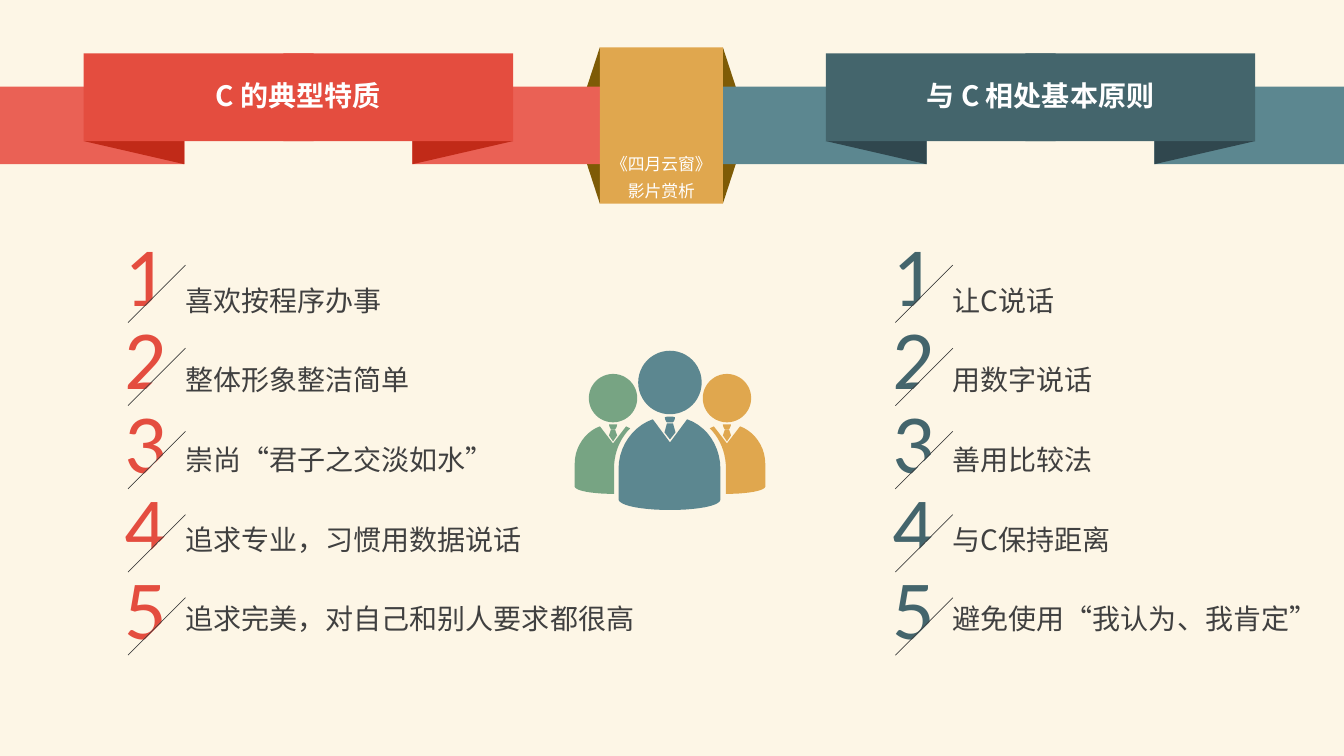
import pptx
import pptx.util
import pptx.dml.color
import pptx.enum.shapes
import pptx.enum.text
import pptx.oxml.ns
from lxml import etree

Inches = pptx.util.Inches
Pt = pptx.util.Pt
qn = pptx.oxml.ns.qn
SHAPE = pptx.enum.shapes.MSO_SHAPE
ALIGN = pptx.enum.text.PP_ALIGN

COLORS = {
    "cream": "FDF6E6", "ink": "404040", "white": "FFFFFF",
    "red": "E44D3F", "red_band": "EA6155", "red_fold": "C12A18",
    "teal": "44656C", "teal_band": "5C8790", "teal_fold": "30474E",
    "gold": "E0A74E", "gold_fold": "7E5B06", "green": "77A483",
}
CJK = "Noto Sans CJK SC"

TRAITS = ["喜欢按程序办事", "整体形象整洁简单", "崇尚“君子之交淡如水”",
          "追求专业，习惯用数据说话", "追求完美，对自己和别人要求都很高"]
PRINCIPLES = ["让C说话", "用数字说话", "善用比较法", "与C保持距离",
              "避免使用“我认为、我肯定”"]

FRONT_BODY = [(0, .91), (.17, .68), ((.37, .75), (.5, .95), (.5, 1.17)), (.5, 1.48),
              ((.49, 1.54), (.27, 1.58), (0, 1.58)),
              ((-.27, 1.58), (-.49, 1.54), (-.51, 1.48)), (-.51, 1.17),
              ((-.51, .95), (-.37, .75), (-.17, .68))]
FRONT_KNOT = [(.05, .66), ((.03, .65), (-.03, .65), (-.05, .66)),
              ((-.05, .66), (-.05, .69), (-.03, .71)), (.03, .71),
              ((.03, .71), (.05, .69), (.05, .66))]
FRONT_TIE = [(-.03, .72), (.03, .72), (.055, .81), (0, .88), (-.055, .81)]
SIDE_BODY = [(0, .69), (-.13, .52), ((-.27, .57), (-.38, .72), (-.38, .89)), (-.38, 1.12),
             ((-.37, 1.16), (-.2, 1.19), (0, 1.19)), (.01, 1.19), (.01, .94),
             ((.01, .78), (.07, .64), (.17, .54)), (.13, .52)]
SIDE_KNOT = [(.04, .5), (-.04, .5), ((-.04, .5), (-.04, .52), (-.02, .55)), (.02, .55),
             ((.02, .55), (.04, .53), (.04, .5))]
SIDE_TIE = [(0, .67), (.04, .61), (.02, .55), (-.02, .55), (-.04, .61)]


def rgb(name):
    return pptx.dml.color.RGBColor.from_string(COLORS[name])


def paint(sp, color):
    sp.shadow.inherit = False
    sp.fill.solid()
    sp.fill.fore_color.rgb = rgb(color)
    sp.line.fill.background()
    return sp


def add_block(s, kind, x, y, w, h, color, flip=""):
    sp = s.shapes.add_shape(kind, Inches(x), Inches(y), Inches(w), Inches(h))
    xfrm = sp._element.spPr.find(qn("a:xfrm"))
    for axis in flip:
        xfrm.set("flip" + axis, "1")
    return paint(sp, color)


def add_text(s, text, x, y, w, h, size=20, color="ink", font=CJK, bold=False,
             align=ALIGN.LEFT, spacing=None, wrap=False):
    tf = s.shapes.add_textbox(Inches(x), Inches(y), Inches(w), Inches(h)).text_frame
    tf.word_wrap = wrap
    tf.auto_size = pptx.enum.text.MSO_AUTO_SIZE.SHAPE_TO_FIT_TEXT
    for i, line in enumerate(text.split("\n")):
        p = tf.add_paragraph() if i else tf.paragraphs[0]
        p.alignment = align
        p.line_spacing = spacing
        r = p.add_run()
        r.text = line
        r.font.size = Pt(size)
        r.font.bold = bold
        r.font.color.rgb = rgb(color)
        r.font.name = font
        etree.SubElement(r._r.get_or_add_rPr(), qn("a:ea")).set("typeface", font)


def add_outline(s, cx, top, steps, color, side=1):
    points = []
    for step in steps:
        if isinstance(step[0], tuple):
            a, (b, c, d) = points[-1], step
            for t in (i / 10 for i in range(1, 11)):
                u = 1 - t
                points.append(tuple(u**3 * a[k] + 3 * u * u * t * b[k]
                                    + 3 * u * t * t * c[k] + t**3 * d[k] for k in (0, 1)))
        else:
            points.append(step)
    points = [(Inches(cx + side * x), Inches(top + y)) for x, y in points]
    fb = s.shapes.build_freeform(*points[0])
    fb.add_line_segments(points[1:], close=True)
    paint(fb.convert_to_shape(), color)


def add_ribbon(s, x, y, w, title, color):
    fold_y = y + .87
    band_w, fold_w, face_w = 2.1, 1, 2.28
    for flip, band_x, fold_x, face_x in (
            ("", x - 1.1, x, x),
            ("H", x + w - fold_w, x + w - fold_w, x + w - face_w)):
        add_block(s, SHAPE.RECTANGLE, band_x, y + .33, band_w, .77, color + "_band", flip)
        add_block(s, SHAPE.RIGHT_TRIANGLE, fold_x, fold_y, fold_w, .23, color + "_fold",
                  "V" if flip else "HV")
        add_block(s, SHAPE.RECTANGLE, face_x, y, face_w, .87, color, flip)
    add_text(s, title, x, y + .2, w, .44, color="white", bold=True,
             align=ALIGN.CENTER, wrap=True)


def add_badge_folds(s, x, y, w, h):
    for fold_x, side in ((x - .14, "H"), (x + w, "")):
        add_block(s, SHAPE.RIGHT_TRIANGLE, fold_x, y, .14, .43, "gold_fold", side)
        add_block(s, SHAPE.RIGHT_TRIANGLE, fold_x, y + h - .43, .14, .43, "gold_fold", side + "V")


def add_badge(s, x, y, w, h, text):
    add_block(s, SHAPE.RECTANGLE, x, y, w, h, "gold")
    add_text(s, text, x - .68, y + .95, w + 1.36, .63, size=12, color="white",
             align=ALIGN.CENTER, spacing=1.3, wrap=True)


def add_slash(s, x, y, size):
    cn = s.shapes.add_connector(pptx.enum.shapes.MSO_CONNECTOR.STRAIGHT,
                                Inches(x + size), Inches(y), Inches(x), Inches(y + size))
    cn.line.color.rgb = rgb("ink")
    cn.line.width = Pt(.5)
    etree.SubElement(cn._element.spPr, qn("a:effectLst"))


def add_numbered_list(s, x, y, items, color):
    for i, item in enumerate(items):
        top = y + i * .825
        add_text(s, str(i + 1), x, top, .62, 1.11, size=60, color=color, font="Calibri")
        add_slash(s, x + .13, top + .47, .57)
        mask = add_block(s, SHAPE.RECTANGLE, x + .39, top + .45, .23, .8, "cream")
        mask.rotation = 45
        mask.line.color.rgb = rgb("cream")
        mask.line.width = Pt(1)
        has_latin = "C" in item
        width = .2 + .28 * len(item) - .09 * has_latin
        add_text(s, item, x + .6, y + .6 + i * .79, width, .44, wrap=has_latin)


def add_person(s, cx, top, head, parts, color, side=1):
    add_block(s, SHAPE.OVAL, cx - head / 2, top, head, head, color)
    for steps in parts:
        add_outline(s, cx, top, steps, color, side)


def add_team(s, cx, y):
    add_person(s, cx, y, .63, (FRONT_BODY, FRONT_KNOT, FRONT_TIE), "teal_band")
    for side, color in ((1, "green"), (-1, "gold")):
        add_person(s, cx - side * .565, y + .23, .48,
                   (SIDE_BODY, SIDE_KNOT, SIDE_TIE), color, side)


def main():
    prs = pptx.Presentation()
    prs.slide_width, prs.slide_height = Inches(13.33), Inches(7.5)
    s = prs.slides.add_slide(prs.slide_layouts[6])
    s.background.fill.solid()
    s.background.fill.fore_color.rgb = rgb("cream")
    badge = (5.95, .47, 1.22, 1.55)
    add_badge_folds(s, *badge)
    add_ribbon(s, .83, .53, 4.26, "C 的典型特质", "red")
    add_ribbon(s, 8.19, .53, 4.26, "与 C 相处基本原则", "teal")
    add_badge(s, *badge, "《四月云窗》\n影片赏析")
    add_numbered_list(s, 1.14, 2.16, TRAITS, "red")
    add_numbered_list(s, 8.75, 2.16, PRINCIPLES, "teal")
    add_team(s, 6.645, 3.48)
    prs.save("out.pptx")


if __name__ == "__main__":
    main()
